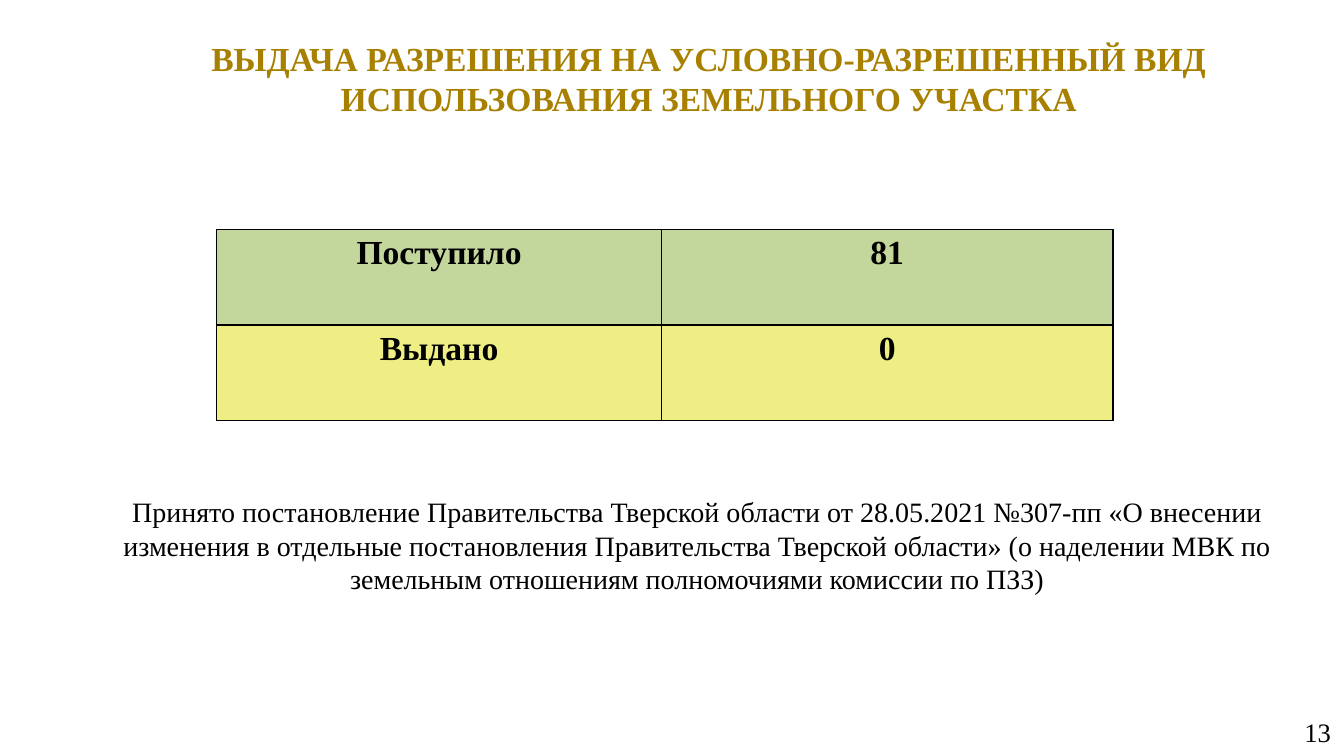
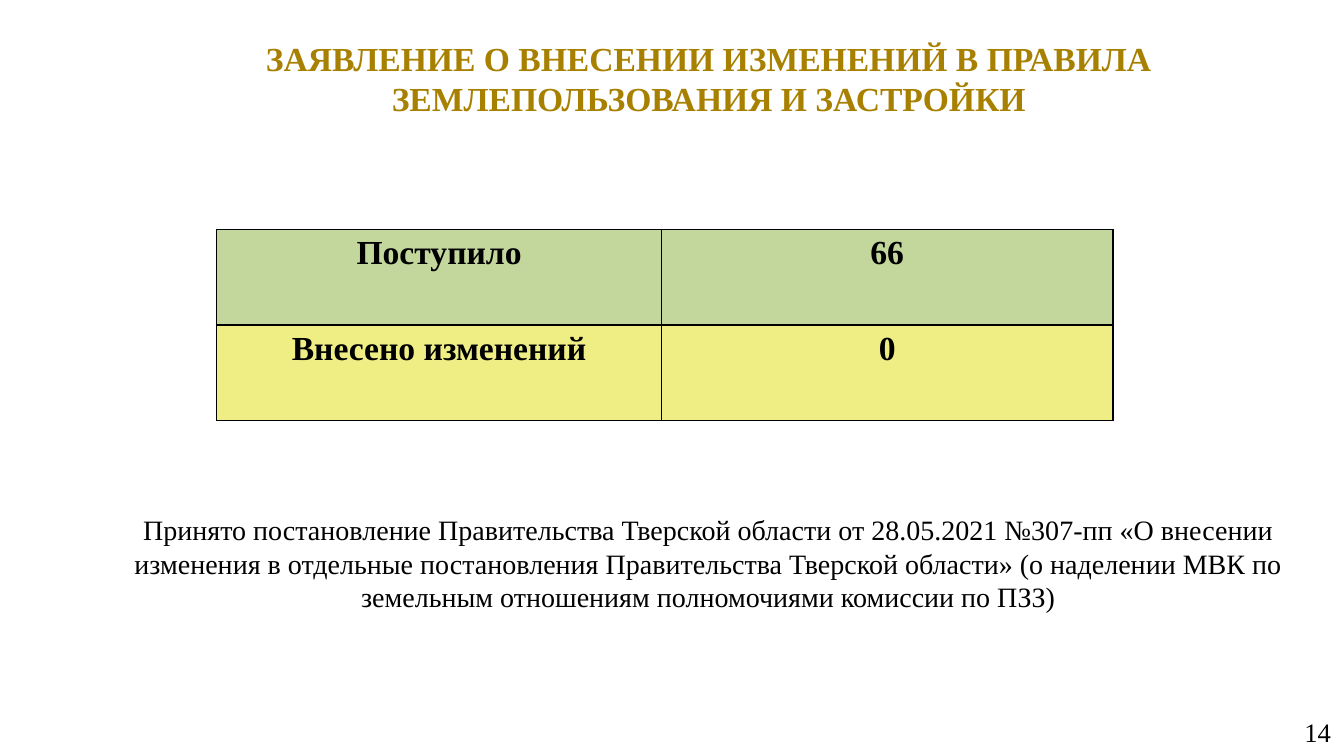
from dataclasses import dataclass

from lxml.etree import SubElement
from pptx import Presentation
from pptx.dml.color import RGBColor
from pptx.enum.text import MSO_ANCHOR, PP_ALIGN
from pptx.oxml.ns import qn
from pptx.util import Inches, Pt


@dataclass(frozen=True)
class Theme:
    """Colours, font and type sizes shared by the slides."""

    font: str = "Times New Roman"
    gold: str = "A88000"
    black: str = "000000"
    white: str = "FFFFFF"
    row_fills: tuple = ("C3D69B", "EEEE84")
    heading_size: float = 24
    note_size: float = 20
    number_size: float = 19
    border_width: float = 0.96


THEME = Theme()
SLIDE_SIZE = (13.33, 7.5)
TITLE_BOX = (1.31, 0.28, 11.44, 0.99)
NUMBER_BOX = (10.22, 7.07, 3.11, 0.39)
TABLE_BOX = (2.15, 2.28, 8.89, 1.89)
LABEL_WIDTH = 4.41
RESOLUTION = (
    "Принято постановление Правительства Тверской области от 28.05.2021 №307-пп "
    "«О внесении изменения в отдельные постановления Правительства Тверской области» "
    "(о наделении МВК по земельным отношениям полномочиями комиссии по ПЗЗ)"
)
REPORTS = (
    {
        "title": "ВЫДАЧА РАЗРЕШЕНИЯ НА УСЛОВНО-РАЗРЕШЕННЫЙ ВИД "
                 "ИСПОЛЬЗОВАНИЯ ЗЕМЕЛЬНОГО УЧАСТКА",
        "counts": (("Поступило", "81"), ("Выдано", "0")),
        "note_box": (0.96, 4.72, 11.91, 1.37),
    },
    {
        "title": "ЗАЯВЛЕНИЕ О ВНЕСЕНИИ ИЗМЕНЕНИЙ В ПРАВИЛА "
                 "ЗЕМЛЕПОЛЬЗОВАНИЯ И ЗАСТРОЙКИ",
        "counts": (("Поступило", "66"), ("Внесено изменений", "0")),
        "note_box": (1, 4.7, 12.05, 1.77),
    },
)
FIRST_NUMBER = 13


def write_text(frame, text, *, size, color=THEME.black, bold=False, align=PP_ALIGN.CENTER):
    """Write one formatted paragraph into a text frame."""
    paragraph = frame.paragraphs[0]
    paragraph.alignment = align
    run = paragraph.add_run()
    run.text = text
    run.font.name = THEME.font
    run.font.size = Pt(size)
    run.font.bold = bold
    run.font.color.rgb = RGBColor.from_string(color)


def add_text(slide, box, text, **text_format):
    """Place a wrapped, vertically centred text box."""
    frame = slide.shapes.add_textbox(*map(Inches, box)).text_frame
    frame.word_wrap = True
    frame.vertical_anchor = MSO_ANCHOR.MIDDLE
    frame.margin_left = frame.margin_right = Inches(0.13)
    frame.margin_top = frame.margin_bottom = Inches(0.07)
    write_text(frame, text, **text_format)


def add_borders(cell):
    """Outline a table cell on all four sides."""
    properties = cell._tc.get_or_add_tcPr()
    for position, side in enumerate(("a:lnL", "a:lnR", "a:lnT", "a:lnB")):
        line = SubElement(properties, qn(side), w=str(Pt(THEME.border_width)))
        fill = SubElement(line, qn("a:solidFill"))
        SubElement(fill, qn("a:srgbClr"), val=THEME.black)
        properties.insert(position, line)


def add_counts(slide, box, counts):
    """Place the table of counts, one coloured row for each."""
    left, top, width, height = box
    table = slide.shapes.add_table(len(counts), 2, *map(Inches, box)).table
    table.first_row = table.horz_banding = False
    table.columns[0].width = Inches(LABEL_WIDTH)
    table.columns[1].width = Inches(width - LABEL_WIDTH)
    for row, values, fill in zip(table.rows, counts, THEME.row_fills):
        row.height = Inches(height / len(counts))
        for cell, value in zip(row.cells, values):
            cell.margin_left = cell.margin_right = Inches(0.13)
            cell.margin_top = cell.margin_bottom = Inches(0.05)
            cell.fill.solid()
            cell.fill.fore_color.rgb = RGBColor.from_string(fill)
            add_borders(cell)
            write_text(cell.text_frame, value, size=THEME.heading_size, bold=True)


def add_report(deck, number, title, counts, note_box):
    """Build one report slide."""
    slide = deck.slides.add_slide(deck.slide_layouts[6])
    slide.background.fill.solid()
    slide.background.fill.fore_color.rgb = RGBColor.from_string(THEME.white)
    add_text(slide, TITLE_BOX, title, size=THEME.heading_size, color=THEME.gold, bold=True)
    add_text(slide, NUMBER_BOX, str(number), size=THEME.number_size, align=PP_ALIGN.RIGHT)
    add_counts(slide, TABLE_BOX, counts)
    add_text(slide, note_box, RESOLUTION, size=THEME.note_size)


def main():
    """Build and save the presentation."""
    deck = Presentation()
    deck.slide_width, deck.slide_height = map(Inches, SLIDE_SIZE)
    for number, report in enumerate(REPORTS, FIRST_NUMBER):
        add_report(deck, number, **report)
    deck.save("out.pptx")


if __name__ == "__main__":
    main()
